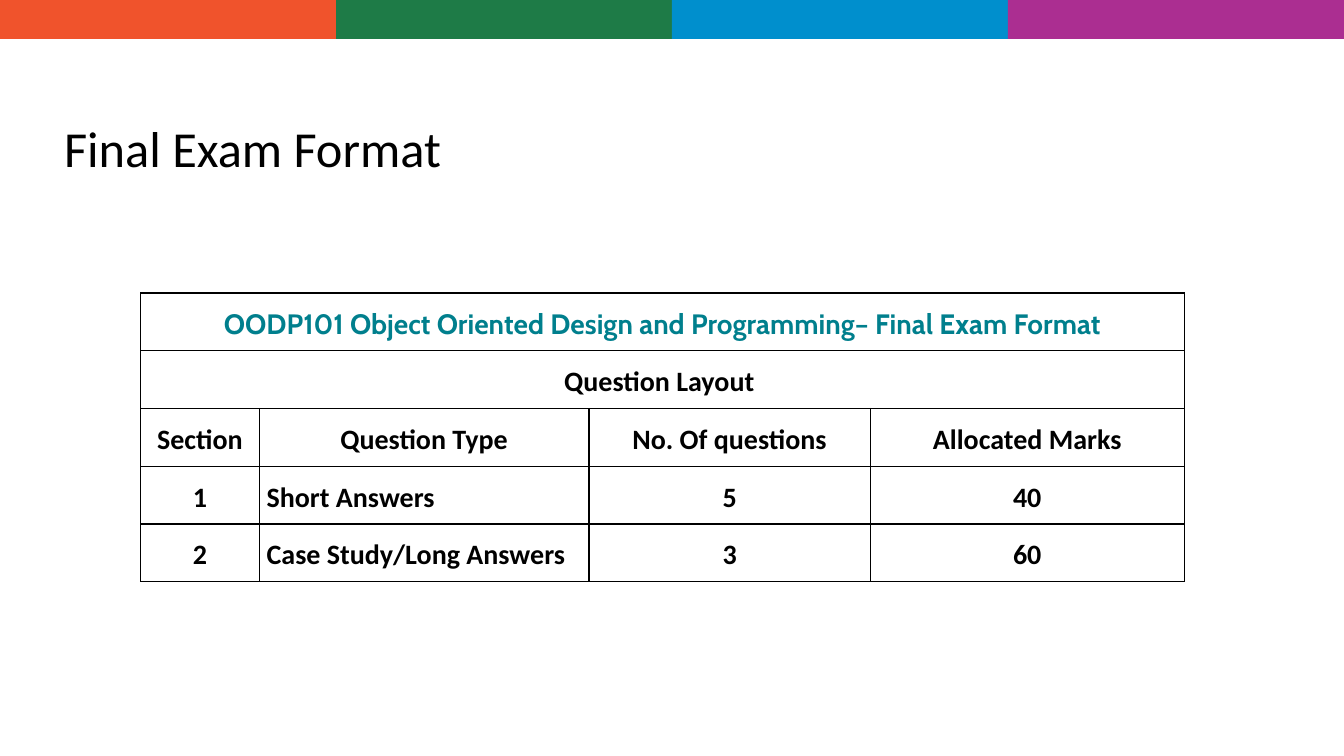
from typing import NamedTuple

from lxml import etree
from pptx import Presentation
from pptx.dml.color import RGBColor
from pptx.enum.shapes import MSO_SHAPE
from pptx.enum.text import MSO_ANCHOR, MSO_AUTO_SIZE, PP_ALIGN
from pptx.oxml.ns import qn
from pptx.util import Emu, Pt

PX = 9525
RECT = MSO_SHAPE.RECTANGLE
LEFT, CENTER = PP_ALIGN.LEFT, PP_ALIGN.CENTER
MIDDLE, BOTTOM = MSO_ANCHOR.MIDDLE, MSO_ANCHOR.BOTTOM
NO_FIT = MSO_AUTO_SIZE.NONE
TITLE_ONLY = 5

COLORS = {
    "orange": "F0532C",
    "green": "1E7B47",
    "blue": "008FCD",
    "purple": "AB2E91",
    "teal": "007F8D",
    "black": "000000",
    "white": "FFFFFF",
}


class Box(NamedTuple):
    x: int
    y: int
    w: int
    h: int


class Row(NamedTuple):
    texts: tuple[str, ...]
    font: str = "Calibri"
    color: str = "black"
    aligns: tuple = (CENTER,) * 4


SLIDE = Box(0, 0, 1280, 720)
BANDS = ("orange", "green", "blue", "purple")
BAND_H = 37
TITLE = Box(56, -125, 1104, 300)
TABLE = Box(134, 279, 994, 275)
COLS = (113, 314, 268, 299)
DATA = (CENTER, LEFT, CENTER, CENTER)
ROWS = (
    Row(("OODP101 Object Oriented Design and Programming– Final Exam Format",),
        font="Cabin", color="teal"),
    Row(("Question Layout ",)),
    Row(("Section", "Question Type", "No. Of questions", "Allocated Marks")),
    Row(("1", "Short Answers", "5", "40"), aligns=DATA),
    Row(("2", "Case Study/Long Answers", "3", "60"), aligns=DATA),
)


def px(n: int) -> Emu:
    return Emu(n * PX)


def rgb(name: str) -> RGBColor:
    return RGBColor.from_string(COLORS[name])


def write(frame, text: str, *, size: int, font: str = "Calibri",
          color: str = "black", bold: bool = False, align=LEFT,
          lines: float = 1.0, gap: int = 0) -> None:
    para = frame.paragraphs[0]
    para.alignment = align
    para.line_spacing = lines
    para.space_before = para.space_after = Pt(gap)
    run = para.add_run()
    run.text = text
    run.font.name = font
    run.font.size = Pt(size)
    run.font.bold = bold
    run.font.color.rgb = rgb(color)


def draw_bands(slide) -> None:
    width = SLIDE.w // len(BANDS)
    for i, color in enumerate(BANDS):
        band = slide.shapes.add_shape(
            RECT, px(i * width), px(0), px(width), px(BAND_H))
        band.shadow.inherit = False
        band.fill.solid()
        band.fill.fore_color.rgb = rgb(color)
        band.line.fill.background()


def draw_title(slide, text: str) -> None:
    title = slide.shapes.title
    title.left, title.top, title.width, title.height = map(px, TITLE)
    frame = title.text_frame
    frame.auto_size = NO_FIT
    frame.word_wrap = True
    frame.vertical_anchor = BOTTOM
    frame.margin_left = frame.margin_right = px(5)
    frame.margin_top = frame.margin_bottom = px(5)
    write(frame, text, size=36, lines=0.9)


def add_edges(cell) -> None:
    """Give a cell a one-point black line on all four sides."""
    props = cell._tc.get_or_add_tcPr()
    for side in ("lnL", "lnR", "lnT", "lnB"):
        line = etree.SubElement(props, qn(f"a:{side}"), w=str(Pt(1)))
        fill = etree.SubElement(line, qn("a:solidFill"))
        etree.SubElement(fill, qn("a:srgbClr"), val=COLORS["black"])


def draw_table(slide) -> None:
    table = slide.shapes.add_table(
        len(ROWS), len(COLS), *map(px, TABLE)).table
    table.first_row = table.horz_banding = False
    for col, width in zip(table.columns, COLS):
        col.width = px(width)
    for line in table.rows:
        line.height = px(TABLE.h // len(ROWS))
    for cell in table.iter_cells():
        add_edges(cell)
        cell.fill.background()
        cell.vertical_anchor = MIDDLE
        cell.margin_left = cell.margin_right = px(7)
        cell.margin_top = cell.margin_bottom = 0
    for r, row in enumerate(ROWS):
        if len(row.texts) == 1:
            table.cell(r, 0).merge(table.cell(r, len(COLS) - 1))
        for c, (text, align) in enumerate(zip(row.texts, row.aligns)):
            write(table.cell(r, c).text_frame, text, size=20, font=row.font,
                  color=row.color, bold=True, align=align, lines=1.15, gap=3)


def main() -> None:
    deck = Presentation()
    deck.slide_width, deck.slide_height = px(SLIDE.w), px(SLIDE.h)
    slide = deck.slides.add_slide(deck.slide_layouts[TITLE_ONLY])
    slide.background.fill.solid()
    slide.background.fill.fore_color.rgb = rgb("white")
    draw_bands(slide)
    draw_title(slide, "Final Exam Format")
    draw_table(slide)
    deck.save("out.pptx")


if __name__ == "__main__":
    main()
